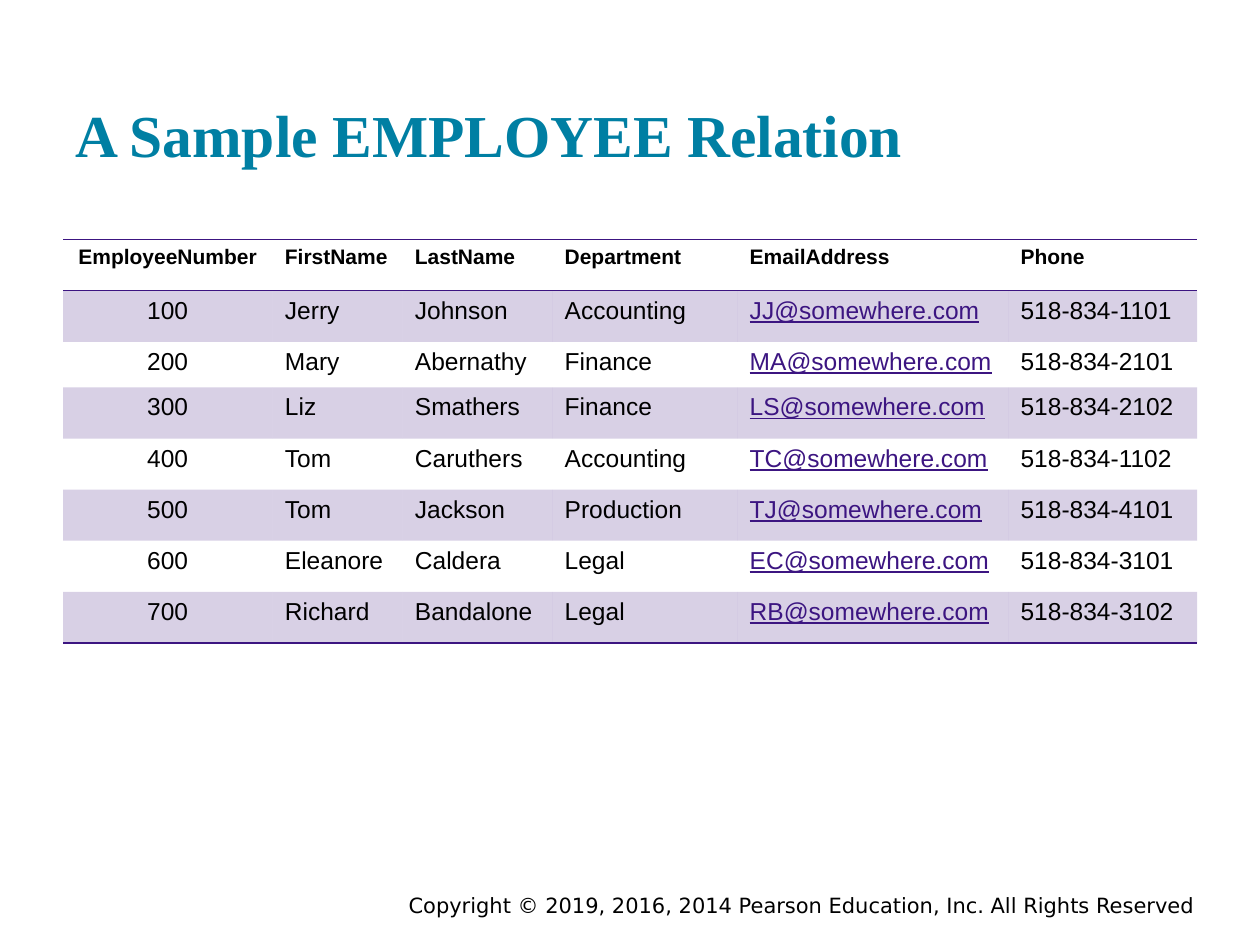
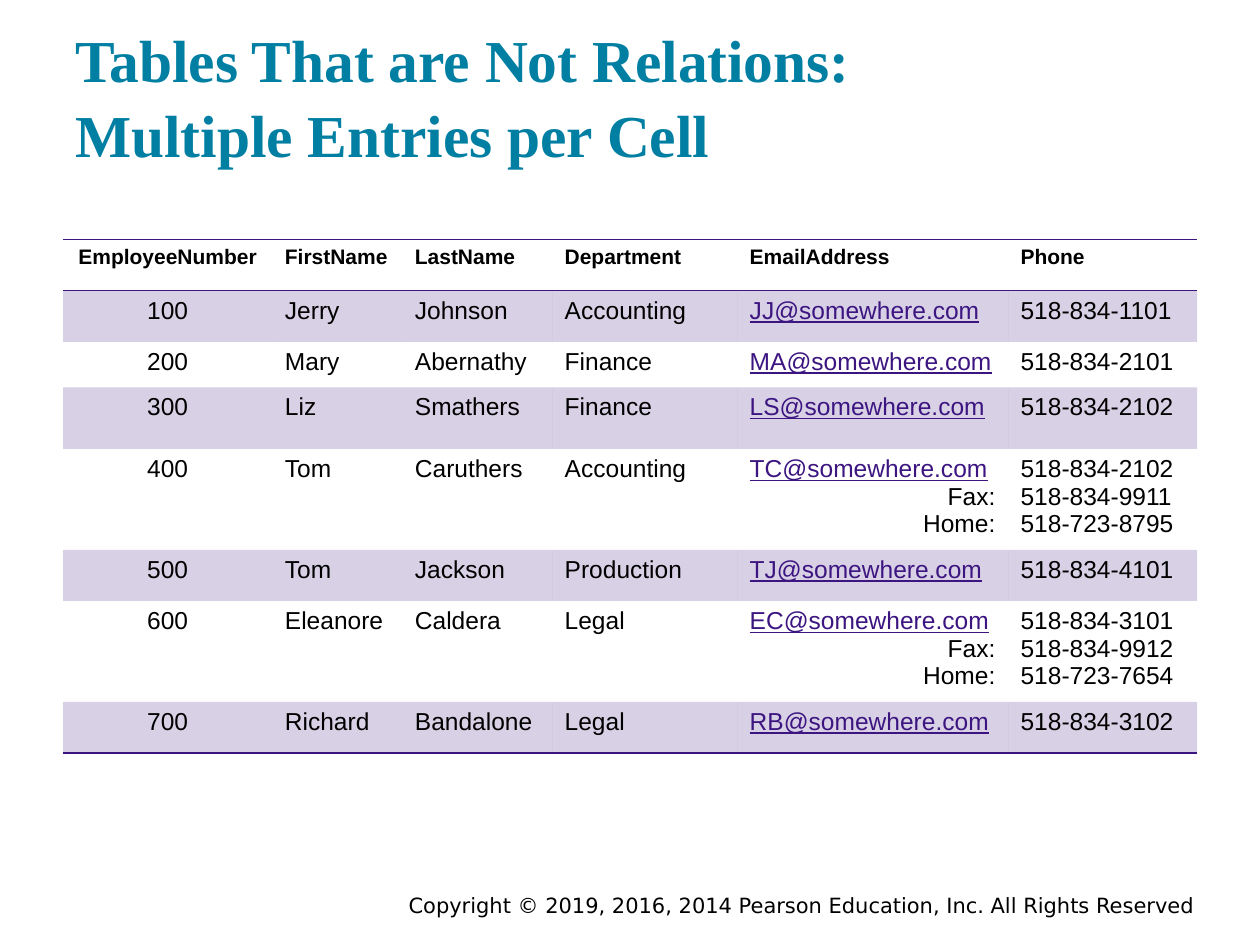
"""Two slides contrasting a valid EMPLOYEE relation with a table that is not a relation."""
from lxml import etree
from pptx import Presentation
from pptx import util as u
from pptx.dml.color import RGBColor
from pptx.enum import text
from pptx.oxml import ns

COLORS = {"title": "007FA3", "body": "000000", "accent": "3C1581", "page": "FFFFFF"}
COPYRIGHT = "Copyright © 2019, 2016, 2014 Pearson Education, Inc. All Rights Reserved"
NO_GRID_STYLE = "{2D5ABB26-0587-4C30-8999-92F81FD0307C}"
BAND_OPACITY = "20000"

headings = ["EmployeeNumber", "FirstName", "LastName", "Department", "EmailAddress", "Phone"]
column_widths = [4.22, 2.62, 3.02, 3.73, 5.46, 3.81]
EMAIL = headings.index("EmailAddress")
employees = [
    ("100", "Jerry", "Johnson", "Accounting", "JJ", "1101"),
    ("200", "Mary", "Abernathy", "Finance", "MA", "2101"),
    ("300", "Liz", "Smathers", "Finance", "LS", "2102"),
    ("400", "Tom", "Caruthers", "Accounting", "TC", "1102"),
    ("500", "Tom", "Jackson", "Production", "TJ", "4101"),
    ("600", "Eleanore", "Caldera", "Legal", "EC", "3101"),
    ("700", "Richard", "Bandalone", "Legal", "RB", "3102"),
]
multiple_phones = {
    "400": ["518-834-2102", "518-834-9911", "518-723-8795"],
    "600": ["518-834-3101", "518-834-9912", "518-723-7654"],
}
lessons = [
    (["A Sample EMPLOYEE Relation"], {}, [1.03, 1.03, 0.92] + [1.03] * 5),
    (["Tables That are Not Relations:", "Multiple Entries per Cell"], multiple_phones,
     [1.03, 1.03, 0.92, 1.24, 1.92, 1.03, 1.92, 1.03]),
]


def add_run(paragraph, words, font_name, size, color, bold=False, underline=False):
    run = paragraph.add_run()
    run.text = words
    run.font.name = font_name
    run.font.size = u.Pt(size)
    run.font.bold = bold
    run.font.underline = underline
    run.font.color.rgb = RGBColor.from_string(COLORS[color])


def add_rule(cell, side):
    properties = cell._tc.get_or_add_tcPr()
    rule = etree.Element(ns.qn("a:" + side), w=str(u.Pt(1)))
    fill = etree.SubElement(rule, ns.qn("a:solidFill"))
    etree.SubElement(fill, ns.qn("a:srgbClr"), val=COLORS["accent"])
    properties.insert(0, rule)


deck = Presentation()
deck.slide_width, deck.slide_height = u.Cm(25.4), u.Cm(19.05)

for title_lines, extra_phones, row_heights in lessons:
    slide = deck.slides.add_slide(deck.slide_layouts[6])
    slide.background.fill.solid()
    slide.background.fill.fore_color.rgb = RGBColor.from_string(COLORS["page"])

    footer = slide.shapes.add_textbox(u.Cm(4.45), u.Cm(17.86), u.Cm(19.89), u.Cm(0.56)).text_frame
    footer.word_wrap = True
    footer.paragraphs[0].alignment = text.PP_ALIGN.RIGHT
    add_run(footer.paragraphs[0], COPYRIGHT, "DejaVu Sans", 12, "body")

    title = slide.shapes.add_textbox(u.Cm(1.27), u.Cm(0.61), u.Cm(22.86), u.Cm(3.05)).text_frame
    title.word_wrap = True
    title.vertical_anchor = text.MSO_ANCHOR.BOTTOM
    title.margin_top = title.margin_bottom = u.Cm(0.25)
    heading = title.paragraphs[0]
    heading.line_spacing = 1.05
    for number, line in enumerate(title_lines):
        if number:
            heading.add_line_break()
        add_run(heading, line, "Times New Roman", 34, "title", bold=True)

    records = [[[name] for name in headings]]
    for number, first, last, department, initials, extension in employees:
        phones = extra_phones.get(number, ["518-834-" + extension])
        contacts = [initials + "@somewhere.com", "Fax:", "Home:"][:len(phones)]
        records.append([[number], [first], [last], [department], contacts, phones])

    relation = slide.shapes.add_table(len(records), len(headings), u.Cm(1.27), u.Cm(4.83),
                                      u.Cm(sum(column_widths)), u.Cm(sum(row_heights))).table
    relation.first_row = relation.horz_banding = False
    relation._tbl.tblPr.find(ns.qn("a:tableStyleId")).text = NO_GRID_STYLE
    for column, width in zip(relation.columns, column_widths):
        column.width = u.Cm(width)

    for row, (record, height) in enumerate(zip(records, row_heights)):
        relation.rows[row].height = u.Cm(height)
        for column, entries in enumerate(record):
            cell = relation.cell(row, column)
            if row % 2:
                cell.fill.solid()
                cell.fill.fore_color.rgb = RGBColor.from_string(COLORS["accent"])
                tint = cell._tc.tcPr.find(".//" + ns.qn("a:srgbClr"))
                etree.SubElement(tint, ns.qn("a:alpha"), val=BAND_OPACITY)
            else:
                cell.fill.background()
            if row in (0, len(records) - 1):
                add_rule(cell, "lnB")
            if row == 0:
                add_rule(cell, "lnT")
            for position, entry in enumerate(entries):
                frame = cell.text_frame
                paragraph = frame.add_paragraph() if position else frame.paragraphs[0]
                if column == 0:
                    paragraph.alignment = text.PP_ALIGN.CENTER
                elif column == EMAIL and position:
                    paragraph.alignment = text.PP_ALIGN.RIGHT
                is_email = "@" in entry
                add_run(paragraph, entry, "Arial", 14 if row else 12,
                        "accent" if is_email else "body", bold=row == 0, underline=is_email)

deck.save("out.pptx")
